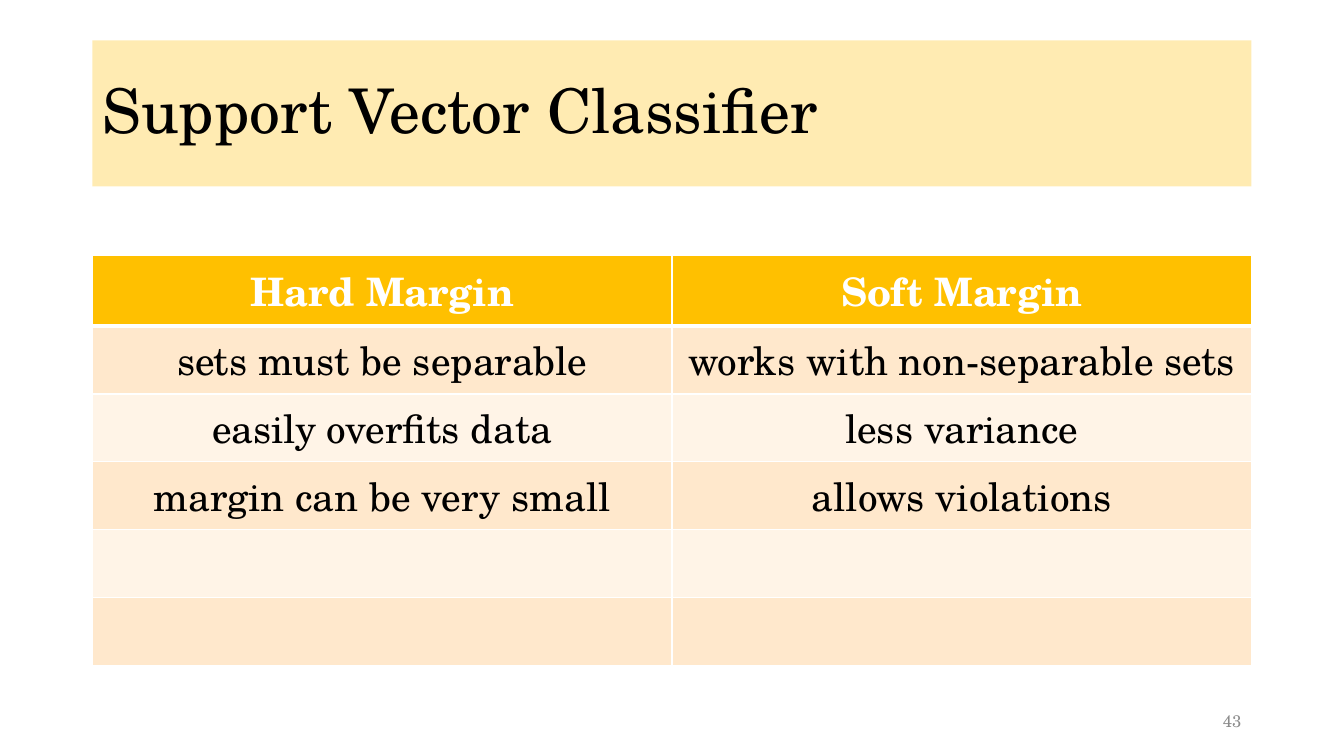
from lxml.etree import SubElement
from pptx import Presentation
from pptx.dml.color import RGBColor
from pptx.enum.shapes import MSO_SHAPE
from pptx.enum.text import MSO_ANCHOR, PP_ALIGN
from pptx.oxml.ns import qn
from pptx.util import Cm, Pt

# Content
TITLE = "Support Vector Classifier"
PAGE_NUMBER = "43"
MARGIN_ROWS = [
    ("Hard Margin", "Soft Margin"),
    ("sets must be separable", "works with non-separable sets"),
    ("easily overfits data", "less variance"),
    ("margin can be very small", "allows violations"),
    ("", ""),
    ("", ""),
]

THEME = {
    "font": "TeX Gyre Schola",
    "title_size": 44, "table_size": 28, "number_size": 12,
    "text": "000000", "number": "8C8C8C", "white": "FFFFFF",
    "banner": "FFD966", "header": "FFC000", "bands": ("FFF4E7", "FFE8CC"),
}

# Layout in centimetres
LEFT, WIDTH = 2.33, 29.21
TITLE_TOP, TITLE_HEIGHT = 1.02, 3.68
TABLE_TOP, ROW_HEIGHT = 6.44, 1.71
NUMBER_TOP, NUMBER_WIDTH, NUMBER_HEIGHT = 17.65, 7.62, 1.01


def write(frame, text, size, color, align, bold=False):
    para = frame.paragraphs[0]
    para.alignment = align
    if not text:
        para.font.size = Pt(size)
        return para
    span = para.add_run()
    span.text = text
    formats = {"name": THEME["font"], "size": Pt(size), "bold": bold}
    for name, value in formats.items():
        setattr(span.font, name, value)
    span.font.color.rgb = RGBColor.from_string(color)
    return para


def set_borders(cell, widths):
    properties = cell._tc.get_or_add_tcPr()
    for side, points in widths.items():
        line = SubElement(properties, qn(f"a:ln{side}"), w=str(Pt(points)))
        fill = SubElement(line, qn("a:solidFill"))
        SubElement(fill, qn("a:srgbClr"), val=THEME["white"])


deck = Presentation()
deck.slide_width, deck.slide_height = Cm(33.87), Cm(19.05)
page = deck.slides.add_slide(deck.slide_layouts[6])

# Title banner
banner = page.shapes.add_shape(MSO_SHAPE.RECTANGLE, Cm(LEFT), Cm(TITLE_TOP),
                               Cm(WIDTH), Cm(TITLE_HEIGHT))
banner.shadow.inherit = False
banner.line.fill.background()
banner.fill.solid()
banner.fill.fore_color.rgb = RGBColor.from_string(THEME["banner"])
banner_color = banner._element.spPr.find(qn("a:solidFill"))[0]
SubElement(banner_color, qn("a:alpha"), val="50000")
banner.text_frame.word_wrap = True
banner.text_frame.vertical_anchor = MSO_ANCHOR.MIDDLE
title = write(banner.text_frame, TITLE, THEME["title_size"], THEME["text"], PP_ALIGN.LEFT)
title.line_spacing = 0.9

# Comparison table
table = page.shapes.add_table(len(MARGIN_ROWS), len(MARGIN_ROWS[0]), Cm(LEFT), Cm(TABLE_TOP),
                              Cm(WIDTH), Cm(ROW_HEIGHT * len(MARGIN_ROWS))).table
for row, texts in enumerate(MARGIN_ROWS):
    is_header = row == 0
    fill = THEME["header"] if is_header else THEME["bands"][row % 2]
    color = THEME["white"] if is_header else THEME["text"]
    borders = {"L": 1, "R": 1, "T": 3 if row == 1 else 1, "B": 3 if is_header else 1}
    for column, text in enumerate(texts):
        cell = table.cell(row, column)
        set_borders(cell, borders)
        cell.fill.solid()
        cell.fill.fore_color.rgb = RGBColor.from_string(fill)
        write(cell.text_frame, text, THEME["table_size"], color, PP_ALIGN.CENTER, is_header)

# Page number
box = page.shapes.add_textbox(Cm(LEFT + WIDTH - NUMBER_WIDTH), Cm(NUMBER_TOP),
                              Cm(NUMBER_WIDTH), Cm(NUMBER_HEIGHT))
box.text_frame.word_wrap = True
box.text_frame.vertical_anchor = MSO_ANCHOR.MIDDLE
write(box.text_frame, PAGE_NUMBER, THEME["number_size"], THEME["number"], PP_ALIGN.RIGHT)

deck.save("out.pptx")
